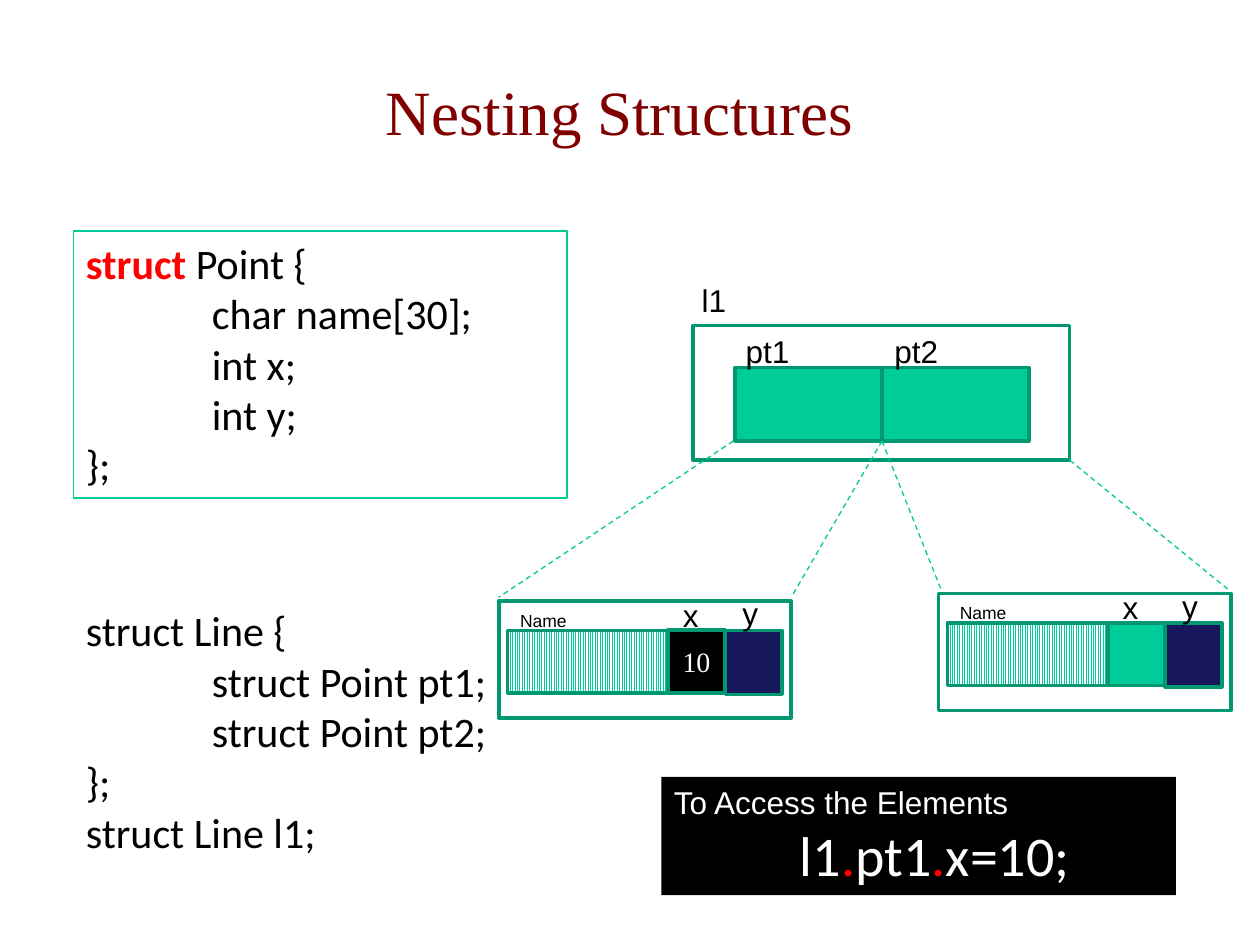
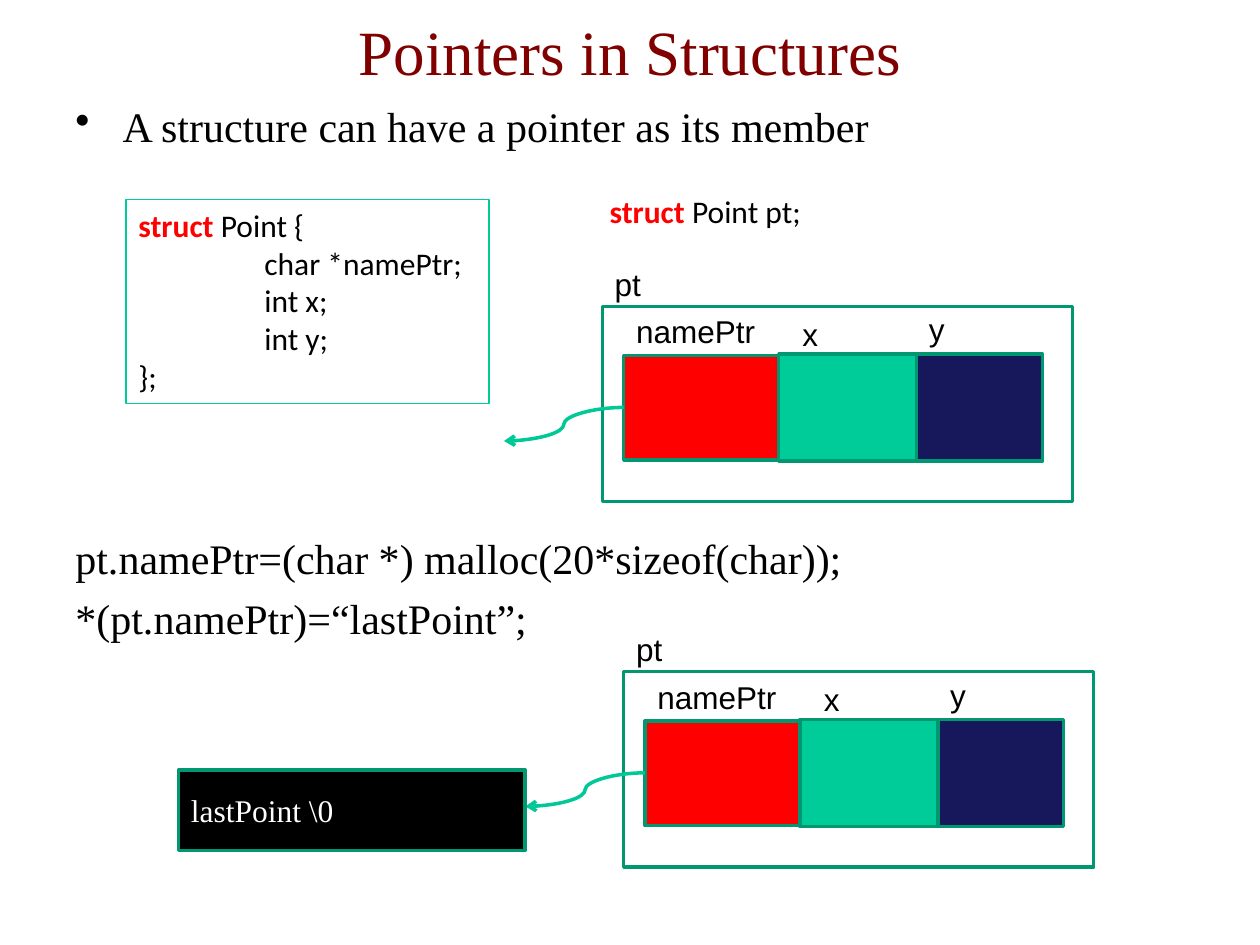
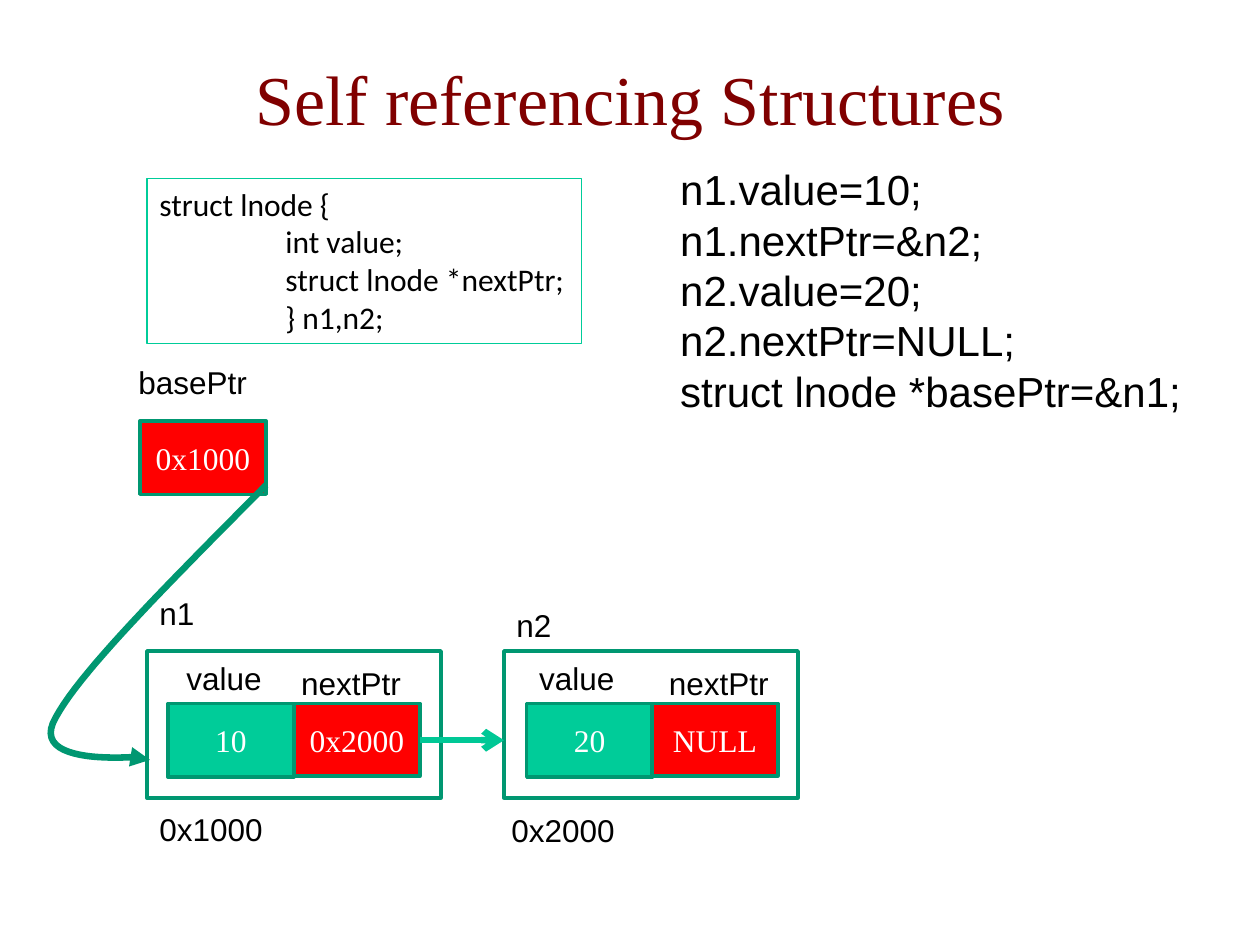
import pptx
import pptx.dml.color
import pptx.enum.dml
import pptx.enum.shapes
import pptx.enum.text
import pptx.oxml
import pptx.oxml.ns
import pptx.util

Pt = pptx.util.Pt
RGBColor = pptx.dml.color.RGBColor
ALIGN = pptx.enum.text.PP_ALIGN
ANCHOR = pptx.enum.text.MSO_ANCHOR
CONNECTOR = pptx.enum.shapes.MSO_CONNECTOR

# Shared colours and fonts
MAROON = RGBColor(0x80, 0x00, 0x00)
RED = RGBColor(0xFF, 0x00, 0x00)
GREEN = RGBColor(0x00, 0xCC, 0x99)
ARROW_GREEN = RGBColor(0x00, 0xC8, 0x96)
DARK_GREEN = RGBColor(0x00, 0x97, 0x71)
NAVY = RGBColor(0x17, 0x17, 0x5C)
BLACK = RGBColor(0x00, 0x00, 0x00)
WHITE = RGBColor(0xFF, 0xFF, 0xFF)
SERIF, SANS, CODE = "Times New Roman", "Arial", "Calibri"

KEYWORD = ("struct", {"color": RED, "bold": True})
TAB = 72


def write_text(shape, paragraphs, size=18, font=SANS, color=BLACK,
               align=ALIGN.LEFT, anchor=ANCHOR.TOP):
    """Each paragraph is a string or a list of (text, overrides); a leading tab indents it."""
    frame = shape.text_frame
    frame.word_wrap = True
    frame.vertical_anchor = anchor
    if align == ALIGN.LEFT:
        frame.margin_right = 0
    for index, content in enumerate(paragraphs):
        paragraph = frame.paragraphs[0] if index == 0 else frame.add_paragraph()
        paragraph.alignment = align
        runs = [(content, {})] if isinstance(content, str) else content
        if runs[0][0].startswith("\t"):
            set_indent(paragraph, TAB, 0)
        for text, changes in runs:
            style = {"size": size, "font": font, "color": color, "bold": False, **changes}
            run = paragraph.add_run()
            run.text = text.lstrip("\t")
            run.font.size = Pt(style["size"])
            run.font.name = style["font"]
            run.font.bold = style["bold"]
            run.font.color.rgb = style["color"]
    return shape


def set_indent(paragraph, margin, indent):
    properties = paragraph._p.get_or_add_pPr()
    properties.set("marL", str(Pt(margin)))
    properties.set("indent", str(Pt(indent)))


def add_bullet(paragraph):
    set_indent(paragraph, 27, -27)
    bullet = pptx.oxml.parse_xml(
        '<a:buChar %s char="\u2022"/>' % pptx.oxml.ns.nsdecls("a"))
    paragraph._p.get_or_add_pPr().append(bullet)


def add_text(slide, paragraphs, left, top, width, height, **style):
    box = slide.shapes.add_textbox(Pt(left), Pt(top), Pt(width), Pt(height))
    return write_text(box, paragraphs, **style)


def add_label(slide, text, left, top, width=68, height=28.8, size=18):
    return add_text(slide, [text], left, top, width, height, size=size)


def add_title(slide, text, left, top, width, height, size=36):
    add_text(slide, [text], left, top, width, height, size=size, font=SERIF,
             color=MAROON, align=ALIGN.CENTER, anchor=ANCHOR.MIDDLE)


def add_box(slide, left, top, width, height, fill=None, line=DARK_GREEN, weight=2):
    box = slide.shapes.add_shape(pptx.enum.shapes.MSO_SHAPE.RECTANGLE,
                                 Pt(left), Pt(top), Pt(width), Pt(height))
    box.shadow.inherit = False
    if fill is None:
        box.fill.background()
    else:
        box.fill.solid()
        box.fill.fore_color.rgb = fill
    if line is None:
        box.line.fill.background()
    else:
        box.line.color.rgb = line
        box.line.width = Pt(weight)
    return box


def add_value(slide, text, left, top, width, height, fill, size=18, align=ALIGN.CENTER):
    write_text(add_box(slide, left, top, width, height, fill), [text], size=size,
               font=SERIF, color=WHITE, align=align, anchor=ANCHOR.MIDDLE)


def add_code(slide, paragraphs, left, top, width, height, size=18):
    box = add_box(slide, left, top, width, height, line=GREEN, weight=0.75)
    write_text(box, paragraphs, size=size, font=CODE)


def add_arrowhead(shape, kind):
    head = pptx.oxml.parse_xml(
        '<a:tailEnd %s type="%s"/>' % (pptx.oxml.ns.nsdecls("a"), kind))
    shape.line._get_or_add_ln().append(head)


def add_line(slide, start, end, weight, kind=CONNECTOR.STRAIGHT, dashed=False, head=None):
    line = slide.shapes.add_connector(kind, *map(Pt, start + end))
    line.line.color.rgb = ARROW_GREEN
    line.line.width = Pt(weight)
    if dashed:
        line.line.dash_style = pptx.enum.dml.MSO_LINE.DASH
    if head:
        add_arrowhead(line, head)
    line._element.spPr.append(
        pptx.oxml.parse_xml("<a:effectLst %s/>" % pptx.oxml.ns.nsdecls("a")))


def curve_points(start, control1, control2, end, steps=24):
    """Points along a cubic curve, without its start."""
    for step in range(1, steps + 1):
        t = step / steps
        weights = ((1 - t) ** 3, 3 * t * (1 - t) ** 2, 3 * t * t * (1 - t), t ** 3)
        yield tuple(Pt(sum(w * p[axis] for w, p in
                           zip(weights, (start, control1, control2, end))))
                    for axis in (0, 1))


def add_point_record(slide, left, top):
    """Point with a name array, x and y."""
    name = add_box(slide, left + 5, top + 16.8, 91.5, 36)
    name.fill.patterned()
    name.fill.pattern = pptx.enum.dml.MSO_PATTERN.LIGHT_VERTICAL
    name.fill.fore_color.rgb = GREEN
    name.fill.back_color.rgb = WHITE
    add_label(slide, "Name", left + 5, top + 1.5, 78.5, 19.5, size=10)
    add_box(slide, left + 97, top + 16.8, 32.4, 36, GREEN)
    add_box(slide, left + 129.4, top + 16.8, 32.4, 36.6, NAVY)
    add_label(slide, "x", left + 98, top - 6.5, 16, 17.3)
    add_label(slide, "y", left + 132, top - 7.2, 16, 17.3)
    add_box(slide, left, top, 167, 67)


def add_pointer_record(slide, left, top):
    """Point whose name is a pointer, with its arrow."""
    add_box(slide, left + 12.2, top + 28.1, 94.3, 59.8, RED)
    add_label(slide, "namePtr", left + 12.2, top, 102)
    add_box(slide, left + 100.8, top + 27.4, 79.2, 61.2, GREEN)
    add_box(slide, left + 179.5, top + 27.4, 72, 61.2, NAVY)
    add_label(slide, "x", left + 107.3, top + 1.4, 36)
    add_label(slide, "y", left + 179.5, top - 1.2, 36)
    add_box(slide, left, top, 268.6, 111.6)
    add_label(slide, "pt", left, top - 27.2, 59.8)
    add_line(slide, (left + 12.2, top + 57.8), (left - 56.2, top + 77), 2,
             CONNECTOR.CURVE, head="arrow")


def add_node(slide, left, value, value_left, pointer, pointer_left):
    """List node with a value and a next pointer."""
    add_box(slide, left, 372, 168, 84)
    add_value(slide, value, value_left, 402, 72, 42, GREEN)
    add_value(slide, pointer, pointer_left, 402, 72, 41.5, RED)


def build_nesting(slide):
    add_title(slide, "Nesting Structures", 48, 24, 612, 78)

    # Declarations
    add_code(slide, [[KEYWORD, (" Point {", {})], "\tchar name[30];", "\tint x;",
                     "\tint y;", "};"], 42, 132, 282, 152.6, size=24)
    add_text(slide, ["struct Line {", "\tstruct Point pt1;", "\tstruct Point pt2;",
                     "};", "struct Line l1;"], 42, 342, 282, 152.6, size=24, font=CODE)

    # Line l1 with its two points
    add_box(slide, 396, 186, 215.3, 77)
    add_label(slide, "l1", 393.8, 157)
    for name, left, label_left in (("pt1", 420, 419), ("pt2", 504, 504)):
        add_box(slide, left, 210, 84, 42, GREEN)
        add_label(slide, name, label_left, 186)

    # Both points enlarged
    add_point_record(slide, 285.1, 343.4)
    add_point_record(slide, 536.4, 339.1)
    add_value(slide, "10", 381.8, 360, 32.4, 36, BLACK, size=16)
    for start, end in (((419, 252), (285, 341.3)), ((504, 252), (452.2, 341.3)),
                       ((504, 252), (537.8, 337)), ((611.3, 263), (702, 337))):
        add_line(slide, start, end, 0.75, dashed=True)

    # Access panel
    panel = add_box(slide, 378, 444, 294, 67.5, BLACK, line=None)
    code = {"size": 32, "font": CODE}
    dot = (".", {**code, "color": RED})
    write_text(panel, ["To Access the Elements",
                       [("\tl1", code), dot, ("pt1", code), dot, ("x=10;", code)]],
               color=WHITE)


def build_pointers(slide):
    add_title(slide, "Pointers in Structures", 36, 3, 648, 52)

    # Body text, with a gap for the first diagram
    body = add_text(slide, ["A structure can have a pointer as its member",
                            "pt.namePtr=(char *) malloc(20*sizeof(char));",
                            "*(pt.namePtr)=\u201clastPoint\u201d;"],
                    36, 54, 648, 474, size=24, font=SERIF)
    for paragraph, gap in zip(body.text_frame.paragraphs, (5.5, 218, 5.5)):
        paragraph.space_before = Pt(gap)
    add_bullet(body.text_frame.paragraphs[0])

    # Declarations
    add_code(slide, [[KEYWORD, (" Point {", {})], "\tchar *namePtr;", "\tint x;",
                     "\tint y;", "};"], 72, 114, 207.4, 116.6)
    add_text(slide, [[KEYWORD, (" Point pt;", {})]], 341.3, 106, 125.3, 28.8, font=CODE)

    # Record before and after the assignment
    add_pointer_record(slide, 344.2, 175)
    add_pointer_record(slide, 356.4, 383.8)
    add_value(slide, "lastPoint \\0", 102, 440, 198, 46, BLACK, align=ALIGN.LEFT)


def build_self_reference(slide):
    add_title(slide, "Self referencing Structures", 36, 21.6, 648, 68.4, size=40)

    # Declaration and assignments
    add_code(slide, ["struct lnode {", "\tint value;", "\tstruct lnode *nextPtr;",
                     "\t} n1,n2;"], 84, 102, 248.4, 94.3)
    add_text(slide, ["n1.value=10;", "n1.nextPtr=&n2;", "n2.value=20;",
                     "n2.nextPtr=NULL;", "struct lnode *basePtr=&n1;"],
             381.6, 90, 315.4, 174.2, size=24)

    # Nodes and the base pointer
    add_node(slide, 84, "10", 96, "0x2000", 168)
    add_node(slide, 288, "20", 301, "NULL", 372.5)
    add_value(slide, "0x1000", 80, 240.5, 72, 42, RED)
    for text, left, top, width in (
            ("n1", 84, 336, 54), ("n2", 288, 343, 54),
            ("value", 99.4, 373, 65.5), ("value", 301, 373, 65.5),
            ("nextPtr", 165, 375.8, 75.6), ("nextPtr", 375.1, 375.8, 75.6),
            ("0x1000", 84, 459.4, 96), ("0x2000", 285.1, 460, 96),
            ("basePtr", 72, 204, 80)):
        add_label(slide, text, left, top, width)

    # Arrows
    add_line(slide, (240, 423), (288, 423), 3.75, head="arrow")
    start, turn, end = (152, 277.2), (30.2, 413.3), (84.2, 432)
    builder = slide.shapes.build_freeform(*map(Pt, start))
    points = [*curve_points(start, (97.2, 332.6), (41.8, 387.4), turn),
              *curve_points(turn, (19.4, 439.2), end, end), (Pt(85.7), Pt(434.2))]
    builder.add_line_segments(points, close=False)
    arrow = builder.convert_to_shape()
    arrow.shadow.inherit = False
    arrow.fill.background()
    arrow.line.color.rgb = DARK_GREEN
    arrow.line.width = Pt(3.75)
    add_arrowhead(arrow, "triangle")


def main():
    presentation = pptx.Presentation()
    presentation.slide_width, presentation.slide_height = Pt(720), Pt(540)
    for build in (build_nesting, build_pointers, build_self_reference):
        build(presentation.slides.add_slide(presentation.slide_layouts[6]))
    presentation.save("out.pptx")


main()
